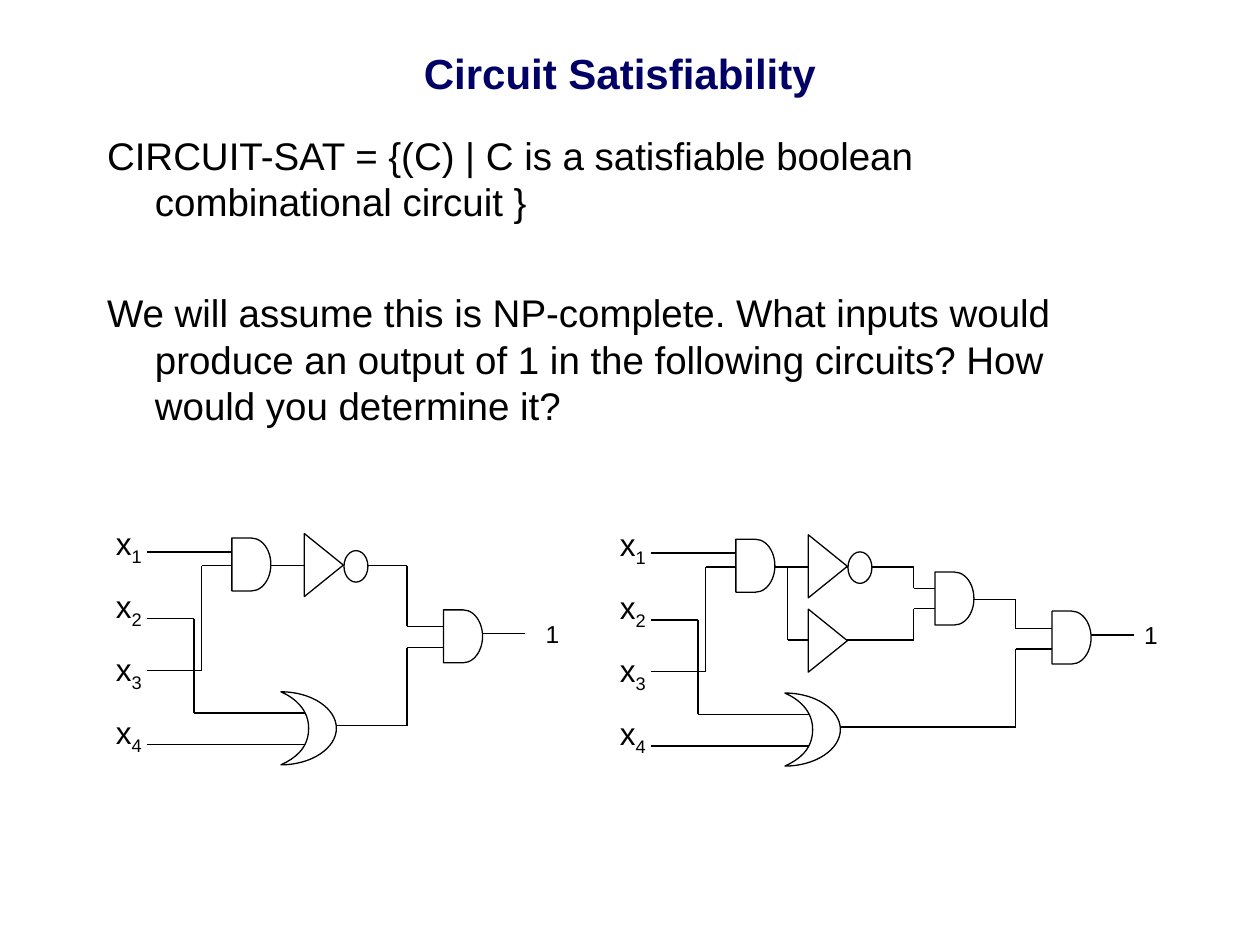
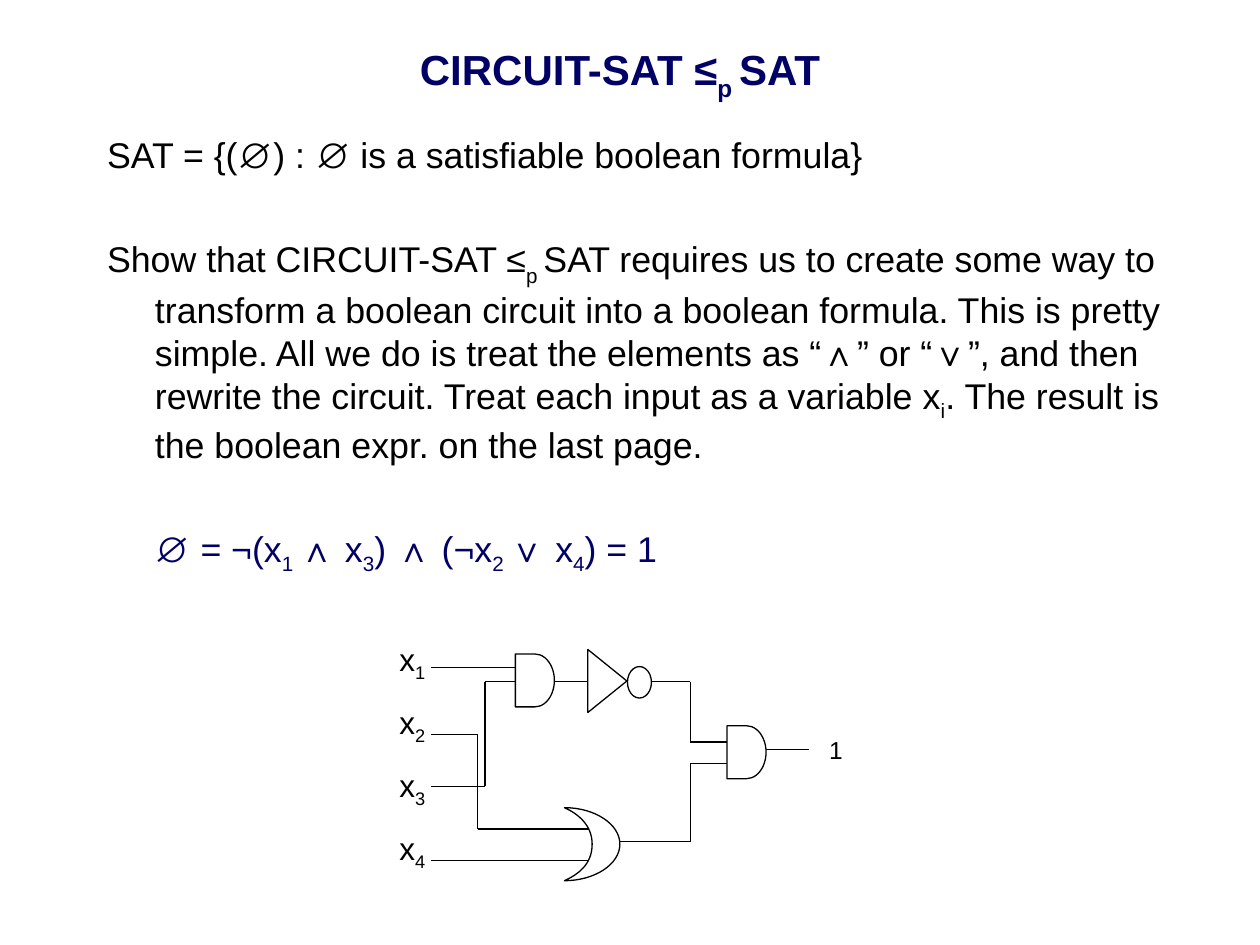
import pptx
import pptx.dml.color
import pptx.enum.shapes
import pptx.enum.text
import pptx.util
from lxml import etree
from pptx.util import Inches

NAVY = pptx.dml.color.RGBColor(0x00, 0x00, 0x66)
BLACK = pptx.dml.color.RGBColor(0x00, 0x00, 0x00)
WHITE = pptx.dml.color.RGBColor(0xFF, 0xFF, 0xFF)
FONT = "Arial"
DRAWING_NS = "{http://schemas.openxmlformats.org/drawingml/2006/main}"
SHAPE = pptx.enum.shapes.MSO_SHAPE
ANCHOR = pptx.enum.text.MSO_ANCHOR
ALIGN = pptx.enum.text.PP_ALIGN
NO_FIT = pptx.enum.text.MSO_AUTO_SIZE.NONE
HANGING = 0.38
OR_CURVES = (
    (0.11, 0.05), (0.22, 0.14), (0.22, 0.29),
    (0.22, 0.45), (0.11, 0.53), (0, 0.58),
    (0.24, 0.58), (0.44, 0.45), (0.44, 0.29),
    (0.44, 0.13), (0.24, 0), (0, 0),
)


class Deck:
    def __init__(self):
        self.prs = pptx.Presentation()
        self.prs.slide_width = Inches(10)
        self.prs.slide_height = Inches(7.5)

    def new_slide(self):
        self.s = self.prs.slides.add_slide(self.prs.slide_layouts[1])
        self.origin = (0, 0)

    def place(self, sp, x, y, w, h):
        sp.left, sp.top, sp.width, sp.height = map(Inches, (x, y, w, h))

    def runs(self, p, runs, size, color=BLACK, bold=False):
        for text, baseline in runs:
            r = p.add_run()
            r.text = text
            r.font.name = FONT
            r.font.size = pptx.util.Pt(size)
            r.font.bold = bold
            r.font.color.rgb = color
            if baseline:
                r._r.get_or_add_rPr().set("baseline", str(baseline * 1000))

    def title(self, *runs):
        sp = self.s.shapes.title
        self.place(sp, 0.67, 0.33, 8.5, 0.5)
        tf = sp.text_frame
        tf.auto_size = NO_FIT
        tf.vertical_anchor = ANCHOR.MIDDLE
        p = tf.paragraphs[0]
        p.alignment = ALIGN.CENTER
        self.runs(p, runs, 24, NAVY, True)

    def body(self, w, h, size, gap, paragraphs):
        sp = self.s.placeholders[1]
        self.place(sp, 0.75, 1, w, h)
        tf = sp.text_frame
        tf.auto_size = NO_FIT
        tf.vertical_anchor = ANCHOR.TOP
        for i, (indent, color, runs) in enumerate(paragraphs):
            p = tf.add_paragraph() if i else tf.paragraphs[0]
            p.space_before = pptx.util.Pt(gap if i else 0)
            pPr = p._p.get_or_add_pPr()
            pPr.set("marL", str(Inches(HANGING)))
            pPr.set("indent", str(Inches(indent)))
            etree.SubElement(pPr, DRAWING_NS + "buNone")
            self.runs(p, runs, size, color)

    def at(self, x, y):
        return Inches(self.origin[0] + x), Inches(self.origin[1] + y)

    def label(self, x, y, w, h, runs, size):
        sp = self.s.shapes.add_textbox(*self.at(x, y), Inches(w), Inches(h))
        tf = sp.text_frame
        tf.margin_left = tf.margin_right = tf.margin_top = tf.margin_bottom = 0
        tf.word_wrap = False
        self.runs(tf.paragraphs[0], runs, size)

    def wire(self, *points):
        for start, end in zip(points, points[1:]):
            sp = self.s.shapes.add_connector(
                pptx.enum.shapes.MSO_CONNECTOR.STRAIGHT,
                *self.at(*start), *self.at(*end))
            sp.line.color.rgb = BLACK
            sp.line.width = pptx.util.Pt(0.75)
            etree.SubElement(sp._element.spPr, DRAWING_NS + "effectLst")

    def outline(self, sp):
        sp.shadow.inherit = False
        sp.fill.solid()
        sp.fill.fore_color.rgb = WHITE
        sp.line.color.rgb = BLACK
        sp.line.width = pptx.util.Pt(0.75)

    def gate(self, kind, x, y, w, h, rotation=0):
        sp = self.s.shapes.add_shape(
            kind, *self.at(x, y), Inches(w), Inches(h))
        sp.rotation = rotation
        self.outline(sp)

    def and_gate(self, x, y):
        self.gate(SHAPE.FLOWCHART_DELAY, x, y, 0.31, 0.42)

    def buffer(self, x, y):
        self.gate(SHAPE.ISOSCELES_TRIANGLE, x, y, 0.5, 0.31, 90)

    def or_gate(self, x, y):
        builder = self.s.shapes.build_freeform(*self.at(x, y))
        builder.add_line_segments(
            [self.at(x + dx, y + dy) for dx, dy in OR_CURVES])
        sp = builder.convert_to_shape()
        segments = list(sp._element.iter(DRAWING_NS + "lnTo"))
        for i in range(0, len(OR_CURVES), 3):
            curve = etree.Element(DRAWING_NS + "cubicBezTo")
            segments[i].addprevious(curve)
            for segment in segments[i:i + 3]:
                curve.append(segment[0])
                segment.getparent().remove(segment)
        self.outline(sp)

    def circuit(self, x, y, bus=2.31, result_x=3.41, extended=False):
        self.origin = (x, y)
        self.wire((0.25, 0.22), (0.93, 0.22))
        self.wire((0.25, 0.75), (0.62, 0.75), (0.62, 1.5), (1.56, 1.5))
        self.wire((0.25, 1.16), (0.68, 1.16), (0.68, 0.33), (1, 0.33))
        self.wire((0.25, 1.75), (1.56, 1.75))
        if extended:
            self.wire((1.18, 0.33), (2.33, 0.33), (2.33, 0.5), (2.58, 0.5))
            self.wire((1.33, 0.33), (1.33, 0.91), (2.33, 0.91),
                      (2.33, 0.66), (2.58, 0.66))
            self.wire((2.64, 0.59), (bus, 0.59), (bus, 0.82),
                      (bus + 0.31, 0.82))
            self.buffer(1.4, 0.76)
            self.and_gate(2.5, 0.37)
        else:
            self.wire((1.18, 0.33), (bus, 0.33), (bus, 0.81),
                      (bus + 0.31, 0.81))
        self.wire((1.62, 1.6), (bus, 1.6), (bus, 0.98), (bus + 0.37, 0.98))
        self.wire((bus + 0.5, 0.87), (bus + 0.94, 0.87))
        self.or_gate(1.31, 1.33)
        self.buffer(1.4, 0.17)
        self.and_gate(bus + 0.29, 0.68)
        self.and_gate(0.92, 0.11)
        self.gate(SHAPE.OVAL, 1.81, 0.21, 0.19, 0.25)
        self.label(result_x, 0.75, 0.25, 0.23, [("1", 0)], 14)
        for i in range(4):
            self.label(0, i * 0.5, 0.21, 0.34,
                       [("x", 0), (str(i + 1), -25)], 18)


def main():
    deck = Deck()

    deck.new_slide()
    deck.title(("Circuit Satisfiability", 0))
    deck.body(8.42, 2.58, 22, 37, [
        (-HANGING, BLACK, [
            ("CIRCUIT-SAT = {(C) | C is a satisfiable boolean "
             "combinational circuit }", 0)]),
        (-HANGING, BLACK, [
            ("We will assume this is NP-complete. What inputs would produce "
             "an output of 1 in the following circuits? How would you "
             "determine it?", 0)]),
    ])
    deck.circuit(0.92, 4.16)
    deck.circuit(4.92, 4.17, bus=3.14, result_x=4.16, extended=True)

    deck.new_slide()
    deck.title(("CIRCUIT-SAT ≤", 0), ("p ", -30), ("SAT", 0))
    deck.body(8.67, 3.83, 20.4, 35.5, [
        (-HANGING, BLACK, [
            ("SAT = {(∅) : ∅ is a satisfiable boolean formula}", 0)]),
        (-HANGING, BLACK, [
            ("Show that CIRCUIT-SAT ≤", 0), ("p ", -30),
            ("SAT requires us to create some way to transform a boolean "
             "circuit into a boolean formula. This is pretty simple. All we "
             "do is treat the elements as “∧” or “∨”, and then rewrite the "
             "circuit. Treat each input as a variable x", 0), ("i", -25),
            (". The result is the boolean expr. on the last page.", 0)]),
        (0, NAVY, [
            ("∅ = ¬(x", 0), ("1 ", -25), ("∧ x", 0), ("3", -25),
            (") ∧ (¬x", 0), ("2 ", -25), ("∨ x", 0), ("4", -25),
            (") = 1", 0)]),
    ])
    deck.circuit(3.17, 5.08)

    deck.prs.save("out.pptx")


if __name__ == "__main__":
    main()
